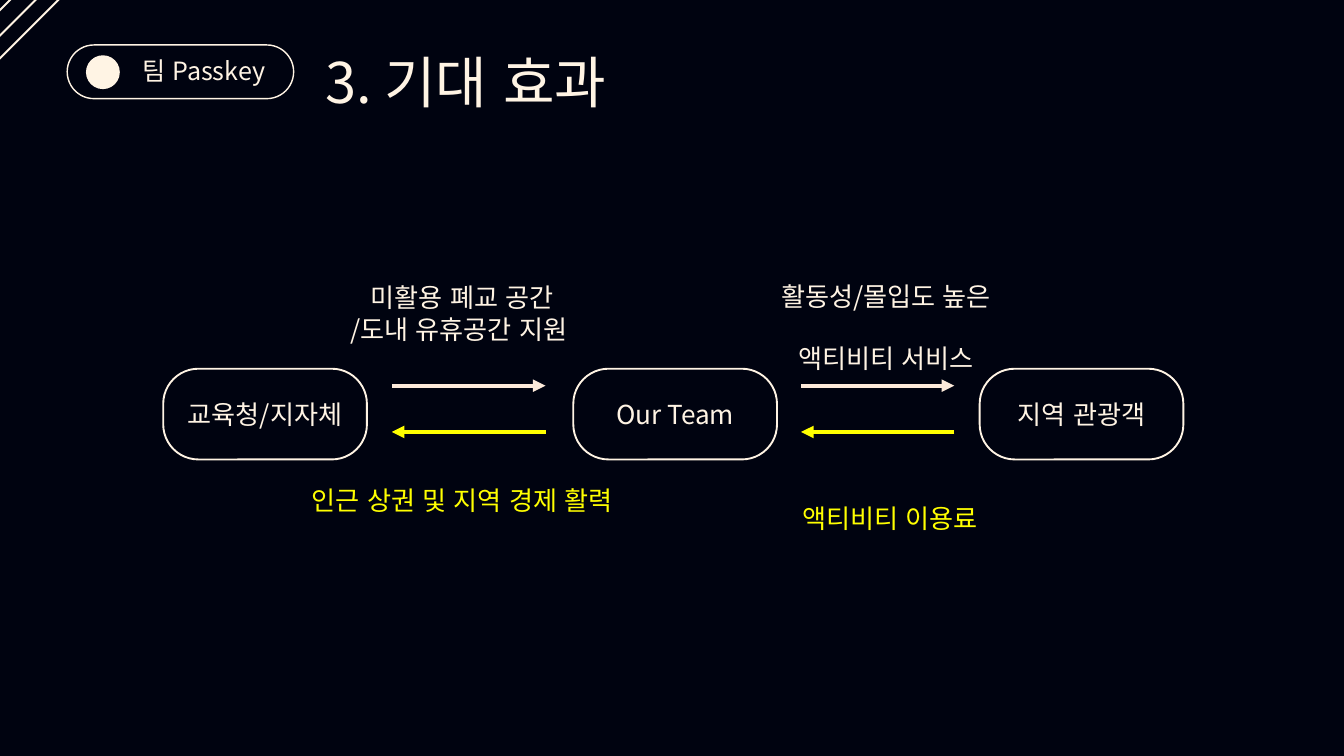
from lxml import etree
from pptx import Presentation
from pptx.dml.color import RGBColor
from pptx.enum.lang import MSO_LANGUAGE_ID
from pptx.enum.shapes import MSO_CONNECTOR, MSO_SHAPE
from pptx.enum.text import MSO_ANCHOR, PP_ALIGN
from pptx.oxml.ns import qn
from pptx.util import Cm, Pt

NAVY = RGBColor(0x00, 0x03, 0x10)
CREAM = RGBColor(0xFF, 0xF4, 0xE4)
PEACH = RGBColor(0xFD, 0xEA, 0xDA)
YELLOW = RGBColor(0xFF, 0xFF, 0x00)
FONT = "Noto Sans CJK KR"
KOREAN = MSO_LANGUAGE_ID.KOREAN
STRAIGHT = MSO_CONNECTOR.STRAIGHT
ROUNDED, OVAL, DIAMOND = MSO_SHAPE.ROUNDED_RECTANGLE, MSO_SHAPE.OVAL, MSO_SHAPE.DIAMOND
LEFT, CENTER = PP_ALIGN.LEFT, PP_ALIGN.CENTER
TOP, MIDDLE = MSO_ANCHOR.TOP, MSO_ANCHOR.MIDDLE


def write(tf, text, size=28, color=CREAM, align=CENTER, gap=0, spacing=None):
    """Write one paragraph per line of text."""
    for i, line in enumerate(text.split("\n")):
        p = tf.add_paragraph() if i else tf.paragraphs[0]
        p.text = line
        p.alignment = align
        if i and gap:
            p.space_before = Pt(gap)
        if spacing:
            p.line_spacing = Pt(spacing)
        p.font.size = Pt(size)
        p.font.name = FONT
        p.font.language_id = KOREAN
        p.font.color.rgb = color
        etree.SubElement(p._p.pPr.defRPr, qn("a:ea"), typeface=FONT)


def add_outline(s, kind, left, top, width, height, weight=2):
    """Add an unfilled shape with a cream outline."""
    sp = s.shapes.add_shape(kind, Cm(left), Cm(top), Cm(width), Cm(height))
    sp.shadow.inherit = False
    sp.fill.background()
    sp.line.color.rgb = CREAM
    sp.line.width = Pt(weight)
    return sp


def add_actor(s, left, text):
    """Add a labelled participant of the flow."""
    sp = add_outline(s, ROUNDED, left, 13.94, 7.7, 3.43)
    sp.adjustments[0] = 0.387
    tf = sp.text_frame
    tf.word_wrap = False
    tf.vertical_anchor = MIDDLE
    write(tf, text)


def add_dot(s):
    """Add the filled dot of the team badge."""
    sp = s.shapes.add_shape(OVAL, Cm(3.25), Cm(2.09), Cm(1.28), Cm(1.28))
    sp.shadow.inherit = False
    sp.fill.solid()
    sp.fill.fore_color.rgb = CREAM
    sp.line.fill.background()


def add_arrow(s, start, end, y, color):
    """Add a level arrow."""
    c = s.shapes.add_connector(STRAIGHT, Cm(start), Cm(y), Cm(end), Cm(y))
    c.line.color.rgb = color
    c.line.width = Pt(4.5)
    etree.SubElement(c.line._get_or_add_ln(), qn("a:tailEnd"), type="triangle")
    etree.SubElement(c._element.spPr, qn("a:effectLst"))


def add_text(s, left, top, width, height, text, inset=True, **style):
    """Add a text box, either unwrapped or without insets."""
    tf = s.shapes.add_textbox(Cm(left), Cm(top), Cm(width), Cm(height)).text_frame
    tf.word_wrap = not inset
    tf.vertical_anchor = TOP
    if not inset:
        tf.margin_left = tf.margin_top = tf.margin_right = tf.margin_bottom = 0
    write(tf, text, **style)


def add_header(s):
    """Add the corner diamonds, team badge and title."""
    for left in (-13.89, -12.93, -12.07):
        add_outline(s, DIAMOND, left, -19.48, 22.5, 22.5)
    badge = add_outline(s, ROUNDED, 2.54, 1.7, 8.56, 2.03, 1.5)
    badge.adjustments[0] = 0.5
    add_dot(s)
    add_text(s, 5.38, 2.36, 7.11, 0.89, "팀 Passkey", inset=False,
             size=26.9, align=LEFT, spacing=24.7)
    add_text(s, 12.29, 0.97, 24.82, 3.05, "3. 기대 효과", inset=False,
             size=60, align=LEFT, spacing=95.3)


def add_flow(s):
    """Add the participants, the arrows between them and their labels."""
    for left, text in ((6.17, "교육청/지자체"), (21.67, "Our Team"), (37.03, "지역 관광객")):
        add_actor(s, left, text)
    for start, end in ((14.81, 20.62), (30.28, 36.07)):
        add_arrow(s, start, end, 14.58, PEACH)
        add_arrow(s, end, start, 16.33, YELLOW)
    add_text(s, 12.85, 10.52, 9.25, 2.64, "미활용 폐교 공간\n/도내 유휴공간 지원 ")
    add_text(s, 29, 10.49, 8.97, 2.64, "활동성/몰입도 높은\n액티비티 서비스", gap=32)
    add_text(s, 11.35, 18.19, 12.24, 1.45, "인근 상권 및 지역 경제 활력", color=YELLOW)
    add_text(s, 30.07, 18.87, 7.37, 1.45, "액티비티 이용료", color=YELLOW, align=LEFT)


def main():
    """Build and save the slide."""
    prs = Presentation()
    prs.slide_width, prs.slide_height = Cm(50.8), Cm(28.58)
    s = prs.slides.add_slide(prs.slide_layouts[6])
    s.background.fill.solid()
    s.background.fill.fore_color.rgb = NAVY
    add_header(s)
    add_flow(s)
    prs.save("out.pptx")


if __name__ == "__main__":
    main()
